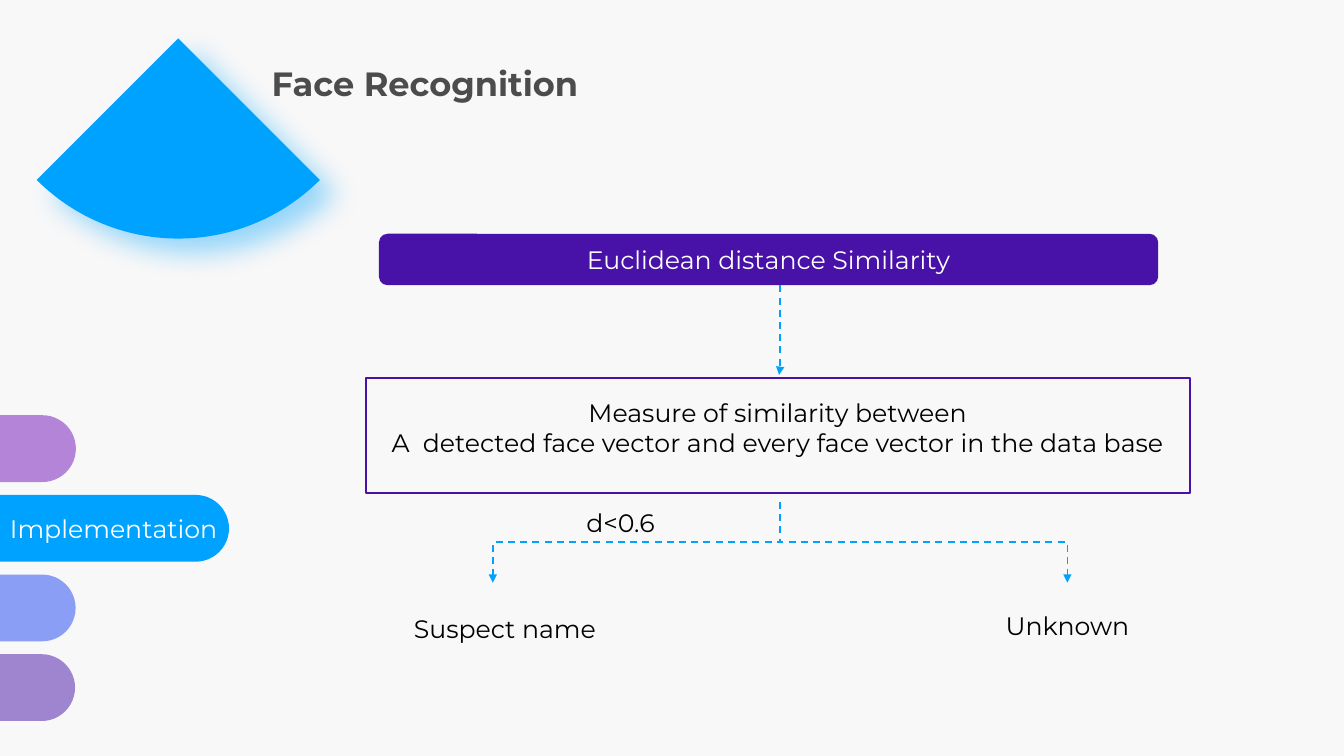
import math
from dataclasses import dataclass

import pptx
import pptx.dml.color
import pptx.enum.shapes
import pptx.enum.text
import pptx.oxml
import pptx.oxml.ns
import pptx.util
from lxml import etree

Pt = pptx.util.Pt
Shapes = pptx.enum.shapes.MSO_SHAPE
Align = pptx.enum.text.PP_ALIGN
Anchor = pptx.enum.text.MSO_ANCHOR
qn = pptx.oxml.ns.qn

FONT = "Montserrat"
BLUE, PURPLE = "00A2FF", "4811A7"
WHITE, BLACK, GREY, PAPER = "FFFFFF", "000000", "4C4C4C", "F8F8F8"
PILL_TOP, PILL_PITCH, PILL_HEIGHT = 296.6, 56.9, 47.7
TRUNK_X = 557.2


@dataclass
class Pill:
    row: int
    left: float
    width: float
    color: str
    opacity: int = 100


@dataclass
class Label:
    text: str
    left: float
    top: float
    width: float
    height: float = 28.8


@dataclass
class Arrow:
    start_x: float
    start_y: float
    end_x: float
    end_y: float
    bend: float = 0.5


FADED_PILLS = [
    Pill(3, -248.4, 302, PURPLE, 50),
    Pill(2, -339.8, 393.8, "1D46F3", 50),
    Pill(0, -339.8, 394, "6F11B7", 50),
]
ACTIVE_PILL = Pill(1, -248.4, 412, BLUE)
LABELS = [
    Label("Suspect name", 270.7, 434.2, 180),
    Label("Unknown", 672.5, 432.7, 180),
    Label("d<0.6", 362.9, 358.6, 160.6),
]
ARROWS = [
    Arrow(TRUNK_X, 203.8, TRUNK_X - 0.7, 267.8, 0.97),
    Arrow(TRUNK_X, 358.6, TRUNK_X - 205.2, 416.2),
    Arrow(TRUNK_X, 358.6, TRUNK_X + 205.2, 416.2),
]


def rgb(color: str) -> pptx.dml.color.RGBColor:
    return pptx.dml.color.RGBColor.from_string(color)


def add_child(parent, tag: str, **attributes):
    child = etree.SubElement(parent, qn(tag))
    for name, value in attributes.items():
        child.set(name, str(value))
    return child


def fill_shape(shape, color: str, opacity: int = 100) -> None:
    shape.shadow.inherit = False
    shape.fill.solid()
    shape.fill.fore_color.rgb = rgb(color)
    shape.line.fill.background()
    if opacity < 100:
        solid = shape._element.spPr.find(qn("a:solidFill"))
        add_child(solid[0], "a:alpha", val=opacity * 1000)


def write_text(shape, text: str, *, size=18, color=BLACK, bold=False,
               align=Align.CENTER, anchor=Anchor.TOP, wrap=True, spacing=1.0) -> None:
    frame = shape.text_frame
    frame.word_wrap = wrap
    frame.vertical_anchor = anchor
    for index, line in enumerate(text.split("\n")):
        para = frame.add_paragraph() if index else frame.paragraphs[0]
        para.alignment = align
        para.line_spacing = spacing
        span = para.add_run()
        span.text = line
        span.font.name = FONT
        span.font.size = Pt(size)
        span.font.bold = bold
        span.font.color.rgb = rgb(color)


def add_label(page, label: Label, **text_format) -> None:
    box = page.shapes.add_textbox(
        Pt(label.left), Pt(label.top), Pt(label.width), Pt(label.height))
    write_text(box, label.text, **text_format)


def add_pill(page, pill: Pill) -> None:
    shape = page.shapes.add_shape(
        Shapes.ROUNDED_RECTANGLE, Pt(pill.left), Pt(PILL_TOP + pill.row * PILL_PITCH),
        Pt(pill.width), Pt(PILL_HEIGHT))
    shape.adjustments[0] = 0.5
    fill_shape(shape, pill.color, pill.opacity)


def add_sector(page, apex_x: float, apex_y: float, radius: float) -> None:
    arc = [(Pt(apex_x + radius * math.cos(math.radians(angle))),
            Pt(apex_y + radius * math.sin(math.radians(angle))))
           for angle in range(45, 136)]
    builder = page.shapes.build_freeform(Pt(apex_x), Pt(apex_y))
    builder.add_line_segments(arc, close=True)
    sector = builder.convert_to_shape()
    fill_shape(sector, BLUE)
    effects = sector._element.spPr.find(qn("a:effectLst"))
    shadow = add_child(effects, "a:outerShdw", blurRad=Pt(20), dist=Pt(15),
                       dir=40 * 60000, algn="tl", rotWithShape=0)
    tint = add_child(shadow, "a:srgbClr", val=BLUE)
    add_child(tint, "a:alpha", val=40000)


def add_arrow(page, arrow: Arrow) -> None:
    length = arrow.end_y - arrow.start_y
    spread = abs(arrow.end_x - arrow.start_x)
    left = (arrow.start_x + arrow.end_x - length) / 2
    top = (arrow.start_y + arrow.end_y - spread) / 2
    connector = page.shapes.add_connector(
        pptx.enum.shapes.MSO_CONNECTOR.ELBOW,
        Pt(left), Pt(top), Pt(left + length), Pt(top + spread))
    connector.line.color.rgb = rgb(BLUE)
    connector.line.width = Pt(1.25)
    connector.line.dash_style = pptx.enum.dml.MSO_LINE.DASH
    properties = connector._element.spPr
    frame = properties.find(qn("a:xfrm"))
    goes_right = arrow.end_x > arrow.start_x
    frame.set("rot", str((270 if goes_right else 90) * 60000))
    if goes_right:
        frame.set("flipH", "1")
    guides = properties.find(qn("a:prstGeom")).find(qn("a:avLst"))
    add_child(guides, "a:gd", name="adj1", fmla=f"val {round(arrow.bend * 100000)}")
    add_child(properties.find(qn("a:ln")), "a:tailEnd", type="triangle")
    add_child(properties, "a:effectLst")


def main() -> None:
    deck = pptx.Presentation()
    deck.slide_width, deck.slide_height = Pt(960), Pt(540)
    page = deck.slides.add_slide(deck.slide_layouts[6])
    page.background.fill.solid()
    page.background.fill.fore_color.rgb = rgb(PAPER)

    for pill in FADED_PILLS:
        add_pill(page, pill)
    add_sector(page, 127.4, 27.4, 143)
    add_pill(page, ACTIVE_PILL)
    add_label(page, Label("Implementation", 0, 362.9, 163.6), color=WHITE, align=Align.LEFT)
    add_label(page, Label("Face Recognition", 168.5, 44.6, 270, 29.5),
              size=24, color=GREY, bold=True, spacing=0.9)

    header = page.shapes.add_shape(
        Shapes.ROUNDED_RECTANGLE, Pt(270.7), Pt(167), Pt(556.6), Pt(36.7))
    fill_shape(header, PURPLE)
    write_text(header, "Euclidean distance Similarity", color=WHITE, anchor=Anchor.MIDDLE)

    outline = page.shapes.add_shape(
        Shapes.RECTANGLE, Pt(261.4), Pt(270), Pt(588.5), Pt(82.1))
    outline.shadow.inherit = False
    outline.fill.background()
    outline.line.color.rgb = rgb(PURPLE)
    outline.line.width = Pt(1.25)
    measure = ("Measure of similarity between\n"
               "A  detected face vector and every face vector in the data base")
    add_label(page, Label(measure, 268.6, 280.1, 573.8, 51.1), wrap=False)

    for arrow in ARROWS:
        add_arrow(page, arrow)
    for label in LABELS:
        add_label(page, label)
    deck.save("out.pptx")


if __name__ == "__main__":
    main()
